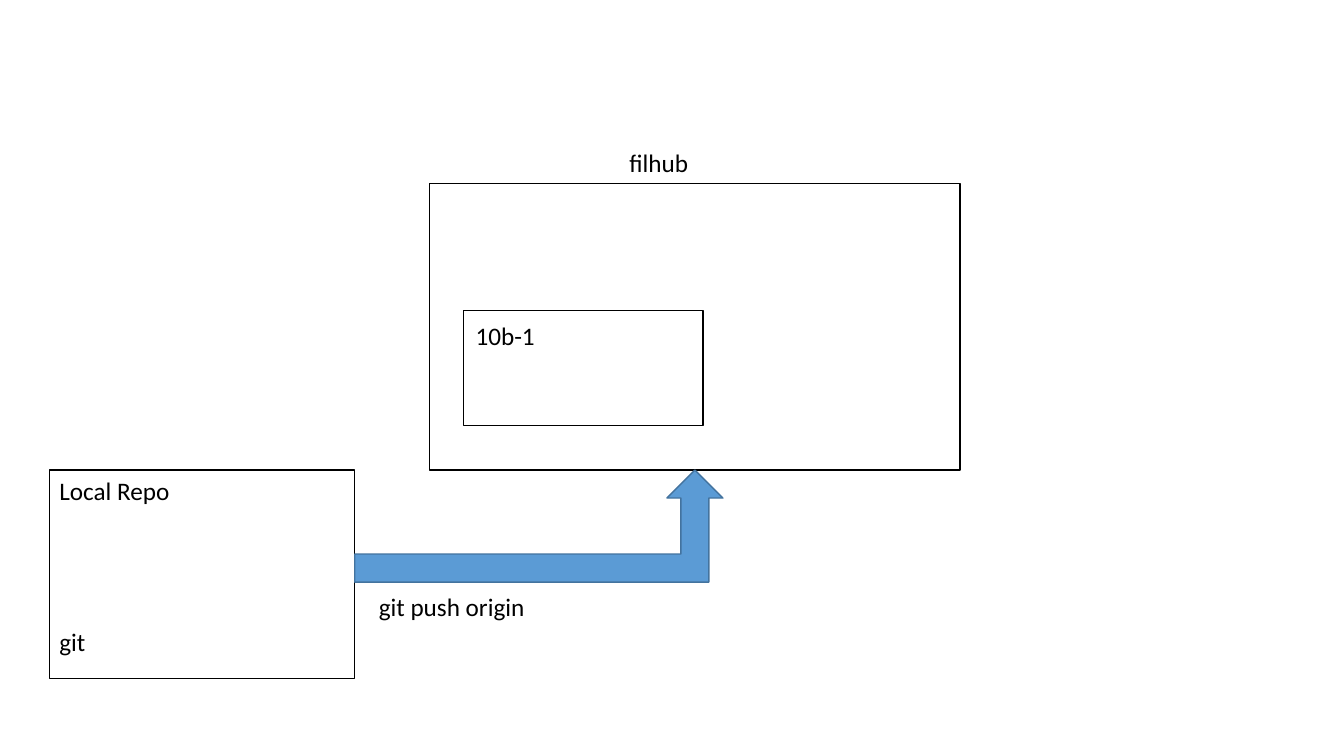
import dataclasses

import pptx
import pptx.dml.color
import pptx.enum.shapes
import pptx.enum.text
import pptx.slide
import pptx.util

Pt = pptx.util.Pt
Geometry = pptx.enum.shapes.MSO_SHAPE


@dataclasses.dataclass(frozen=True)
class Figure:
    left: float
    top: float
    width: float
    height: float
    geometry: Geometry = Geometry.RECTANGLE
    fill: str = "FFFFFF"
    line: str = "000000"


@dataclasses.dataclass(frozen=True)
class Label:
    lines: tuple[str, ...]
    left: float
    top: float
    width: float
    height: float = 29
    wrap: bool = True
    gap: float = 0


def color(value: str) -> pptx.dml.color.RGBColor:
    return pptx.dml.color.RGBColor.from_string(value)


def draw_figure(slide: pptx.slide.Slide, figure: Figure) -> None:
    outline = slide.shapes.add_shape(
        figure.geometry,
        Pt(figure.left), Pt(figure.top), Pt(figure.width), Pt(figure.height),
    )
    outline.shadow.inherit = False
    outline.fill.solid()
    outline.fill.fore_color.rgb = color(figure.fill)
    outline.line.color.rgb = color(figure.line)
    outline.line.width = Pt(1)


def write_text(paragraph, text: str, *, size: float = 18,
               font: str = "Calibri", ink: str = "000000",
               space_before: float = 0) -> None:
    paragraph.space_before = Pt(space_before)
    run = paragraph.add_run()
    run.text = text
    run.font.size = Pt(size)
    run.font.name = font
    run.font.color.rgb = color(ink)


def draw_label(slide: pptx.slide.Slide, label: Label) -> None:
    frame = slide.shapes.add_textbox(
        Pt(label.left), Pt(label.top), Pt(label.width), Pt(label.height)
    ).text_frame
    frame.word_wrap = label.wrap
    frame.auto_size = pptx.enum.text.MSO_AUTO_SIZE.SHAPE_TO_FIT_TEXT
    for index, line in enumerate(label.lines):
        paragraph = frame.add_paragraph() if index else frame.paragraphs[0]
        write_text(paragraph, line, space_before=label.gap if index else 0)


LOCAL_REPO = Figure(35.3, 335.8, 218, 149)
REMOTE_HOST = Figure(306.7, 131, 379, 204.8)
PUSH_ARROW = Figure(253.4, 335.8, 263, 80,
                    Geometry.BENT_UP_ARROW, "5B9BD5", "43739E")
BRANCH = Figure(331.2, 221.8, 171, 82)

PARTS = (
    LOCAL_REPO,
    Label(("Local Repo", "git"), 35.3, 335.9, 218, 138.2, gap=86.2),
    REMOTE_HOST,
    PUSH_ARROW,
    BRANCH,
    Label(("10b-1",), 332.6, 225.4, 169.2),
    Label(("filhub",), 442.5, 101.5, 62, wrap=False),
    Label(("git push origin",), 263.5, 418.5, 121),
)


def main() -> None:
    deck = pptx.Presentation()
    deck.slide_width = Pt(960)
    deck.slide_height = Pt(540)
    slide = deck.slides.add_slide(deck.slide_layouts[6])
    for part in PARTS:
        if isinstance(part, Figure):
            draw_figure(slide, part)
        else:
            draw_label(slide, part)
    deck.save("out.pptx")


if __name__ == "__main__":
    main()
